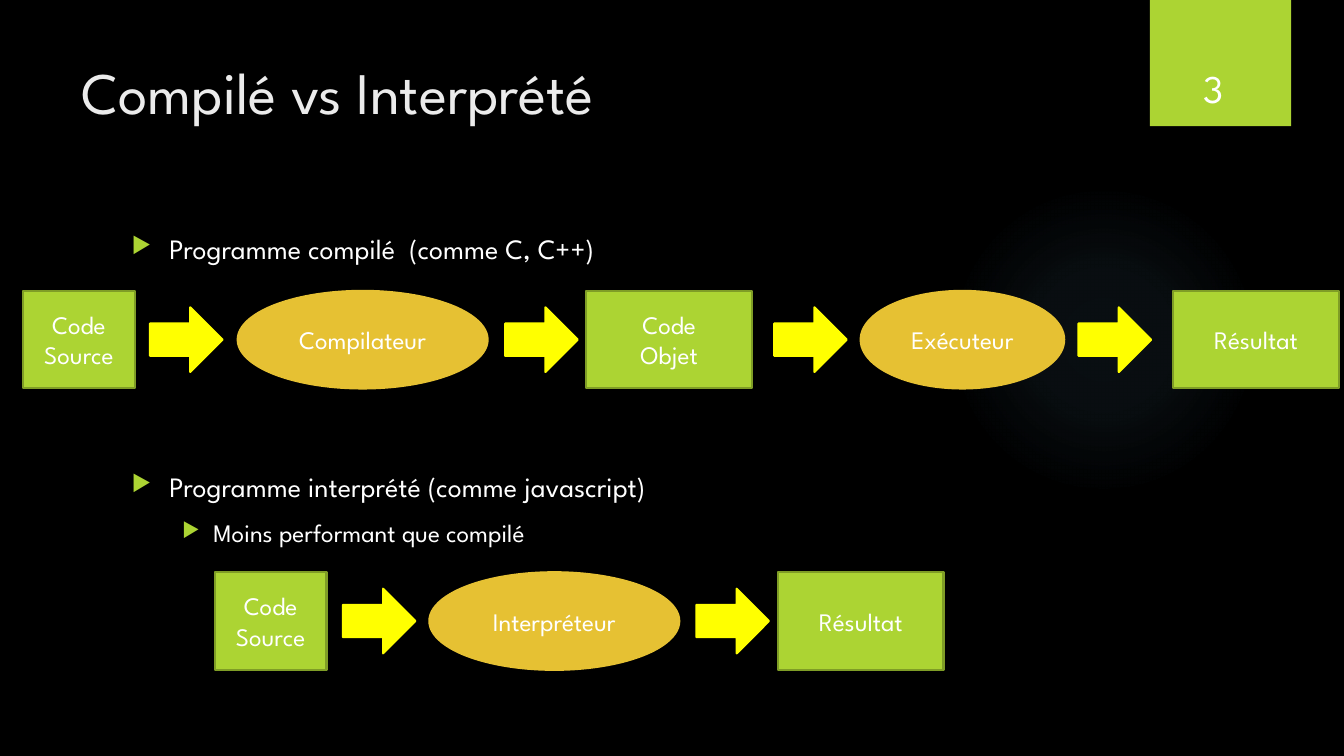
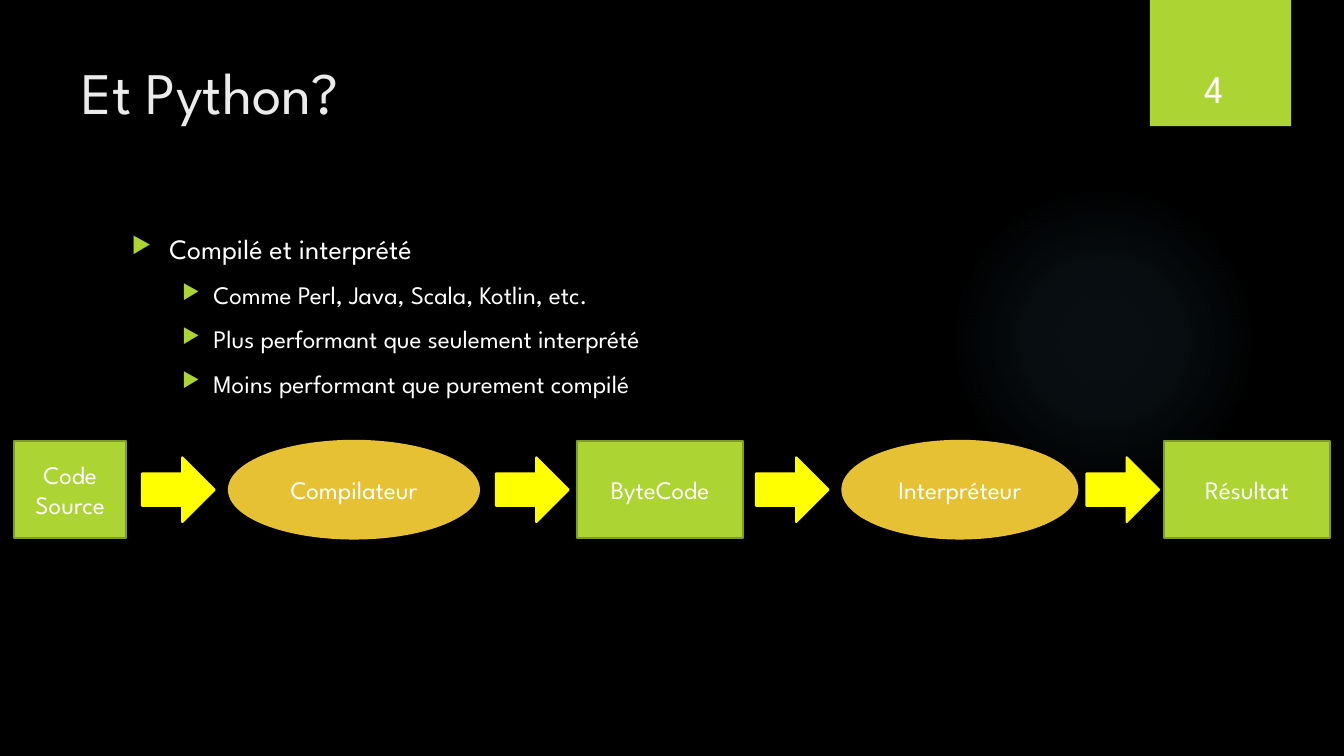
from lxml.etree import SubElement
from pptx import Presentation
from pptx.dml.color import RGBColor
from pptx.enum.shapes import MSO_SHAPE
from pptx.enum.text import MSO_ANCHOR, PP_ALIGN
from pptx.oxml import parse_xml
from pptx.oxml.ns import nsdecls, qn
from pptx.util import Cm, Pt

# Shared style
FONT = "League Spartan"
BLACK = RGBColor(0x00, 0x00, 0x00)
WHITE = RGBColor(0xFF, 0xFF, 0xFF)
TITLE_GREY = RGBColor(0xEB, 0xEB, 0xEB)
GREEN = RGBColor(0xAC, 0xD4, 0x33)
DARK_GREEN = RGBColor(0x7F, 0x9D, 0x26)
GOLD = RGBColor(0xE6, 0xC1, 0x33)
YELLOW = RGBColor(0xFF, 0xFF, 0x00)
GLOW_BLUE = RGBColor(0x7A, 0xC4, 0xF0)
GLOW_STOPS = [(0, 7), (36, 6), (69, 0)]  # position and opacity in percent

STEP_HEIGHT = 2.46
ARROW_WIDTH, ARROW_HEIGHT = 1.83, 1.63
# Left indent, hanging indent and text size of each bullet level
LEVELS = [(0.95, 0.95, 20), (2.06, 0.79, 18)]
STEP_COLOURS = {
    MSO_SHAPE.RECTANGLE: (GREEN, DARK_GREEN),
    MSO_SHAPE.OVAL: (GOLD, GOLD),
    MSO_SHAPE.RIGHT_ARROW: (YELLOW, YELLOW),
}

# Slide content: bullets are (level, text), steps are (shape, text, left, width)
BOX, OVAL = MSO_SHAPE.RECTANGLE, MSO_SHAPE.OVAL
SLIDES = [
    {
        "title": "Compilé vs Interprété",
        "number": "3",
        "lists": [
            (5.72, [(0, "Programme compilé  (comme C, C++)")]),
            (11.71, [(0, "Programme interprété (comme javascript)"),
                     (1, "Moins performant que compilé")]),
        ],
        "flows": [
            {
                "middle": 8.56,
                "steps": [(BOX, "Code\nSource", 0.58, 2.82),
                          (OVAL, "Compilateur", 5.99, 6.3),
                          (BOX, "Code\nObjet", 14.78, 4.17),
                          (OVAL, "Exécuteur", 21.69, 5.13),
                          (BOX, "Résultat", 29.57, 4.17)],
                "arrows": [3.78, 12.73, 19.51, 27.18],
            },
            {
                "middle": 15.65,
                "steps": [(BOX, "Code\nSource", 5.41, 2.82),
                          (OVAL, "Interpréteur", 10.82, 6.3),
                          (BOX, "Résultat", 19.61, 4.17)],
                "arrows": [8.64, 17.55],
            },
        ],
    },
    {
        "title": "Et Python?",
        "number": "4",
        "lists": [
            (5.72, [(0, "Compilé et interprété"),
                    (1, "Comme Perl, Java, Scala, Kotlin, etc."),
                    (1, "Plus performant que seulement interprété"),
                    (1, "Moins performant que purement compilé")]),
        ],
        "flows": [
            {
                "middle": 12.34,
                "steps": [(BOX, "Code\nSource", 0.36, 2.82),
                          (OVAL, "Compilateur", 5.77, 6.3),
                          (BOX, "ByteCode", 14.55, 4.17),
                          (OVAL, "Interpréteur", 21.23, 5.92),
                          (BOX, "Résultat", 29.34, 4.17)],
                "arrows": [3.58, 12.5, 19.05, 27.38],
            },
        ],
    },
]


def write_text(shape, text, size, colour=WHITE, align=PP_ALIGN.LEFT, anchor=MSO_ANCHOR.TOP):
    frame = shape.text_frame
    frame.word_wrap = True
    frame.vertical_anchor = anchor
    frame.text = text
    for paragraph in frame.paragraphs:
        paragraph.alignment = align
        for run in paragraph.runs:
            run.font.name = FONT
            run.font.size = Pt(size)
            run.font.color.rgb = colour


def add_shape(slide, kind, left, top, width, height, fill, line=None):
    shape = slide.shapes.add_shape(kind, Cm(left), Cm(top), Cm(width), Cm(height))
    shape.shadow.inherit = False
    shape.fill.solid()
    shape.fill.fore_color.rgb = fill
    if line is None:
        shape.line.fill.background()
    else:
        shape.line.color.rgb = line
        shape.line.width = Pt(1.5)
    return shape


presentation = Presentation()
presentation.slide_width = Cm(33.87)
presentation.slide_height = Cm(19.05)
background = presentation.slide_master.background.fill
background.solid()
background.fore_color.rgb = BLACK

for content in SLIDES:
    slide = presentation.slides.add_slide(presentation.slide_layouts[6])

    # Soft radial glow
    glow = add_shape(slide, MSO_SHAPE.OVAL, 23.9, 4.65, 7.82, 7.82, GLOW_BLUE)
    stops = "".join(
        f'<a:gs pos="{position * 1000}"><a:srgbClr val="{GLOW_BLUE}">'
        f'<a:alpha val="{opacity * 1000}"/></a:srgbClr></a:gs>'
        for position, opacity in GLOW_STOPS)
    gradient = parse_xml(
        f'<a:gradFill {nsdecls("a")}><a:gsLst>{stops}</a:gsLst><a:path path="circle">'
        '<a:fillToRect l="50000" t="50000" r="50000" b="50000"/></a:path></a:gradFill>')
    properties = glow.element.spPr
    properties.replace(properties.find(qn("a:solidFill")), gradient)

    # Number tab and title
    add_shape(slide, MSO_SHAPE.RECTANGLE, 28.98, 0, 3.56, 3.18, GREEN)
    number = slide.shapes.add_textbox(Cm(28.75), Cm(0.81), Cm(3.68), Cm(2.13))
    write_text(number, content["number"], 28, align=PP_ALIGN.CENTER, anchor=MSO_ANCHOR.BOTTOM)
    title = slide.shapes.add_textbox(Cm(1.8), Cm(1.27), Cm(26.14), Cm(3.89))
    write_text(title, content["title"], 42, TITLE_GREY)

    # Bullet lists
    for top, bullets in content["lists"]:
        box = slide.shapes.add_textbox(Cm(3.07), Cm(top), Cm(24.84), Cm(1.2 * len(bullets)))
        write_text(box, "\n".join(text for level, text in bullets), 20)
        for paragraph, (level, text) in zip(box.text_frame.paragraphs, bullets):
            indent, hanging, size = LEVELS[level]
            paragraph.level = level
            paragraph.space_before = Pt(10)
            paragraph.runs[0].font.size = Pt(size)
            settings = paragraph._p.get_or_add_pPr()
            settings.set("marL", str(Cm(indent)))
            settings.set("indent", str(-Cm(hanging)))
            colour = SubElement(settings, qn("a:buClr"))
            SubElement(colour, qn("a:srgbClr"), val=str(GREEN))
            SubElement(settings, qn("a:buSzPct"), val="80000")
            SubElement(settings, qn("a:buChar"), char="▶")

    # Process flows, centred on a common middle line
    for flow in content["flows"]:
        step_top = flow["middle"] - STEP_HEIGHT / 2
        for kind, text, left, width in flow["steps"]:
            step = add_shape(slide, kind, left, step_top, width, STEP_HEIGHT, *STEP_COLOURS[kind])
            write_text(step, text, 18, align=PP_ALIGN.CENTER, anchor=MSO_ANCHOR.MIDDLE)
        arrow_top = flow["middle"] - ARROW_HEIGHT / 2
        for left in flow["arrows"]:
            add_shape(slide, MSO_SHAPE.RIGHT_ARROW, left, arrow_top, ARROW_WIDTH, ARROW_HEIGHT,
                      *STEP_COLOURS[MSO_SHAPE.RIGHT_ARROW])

presentation.save("out.pptx")
